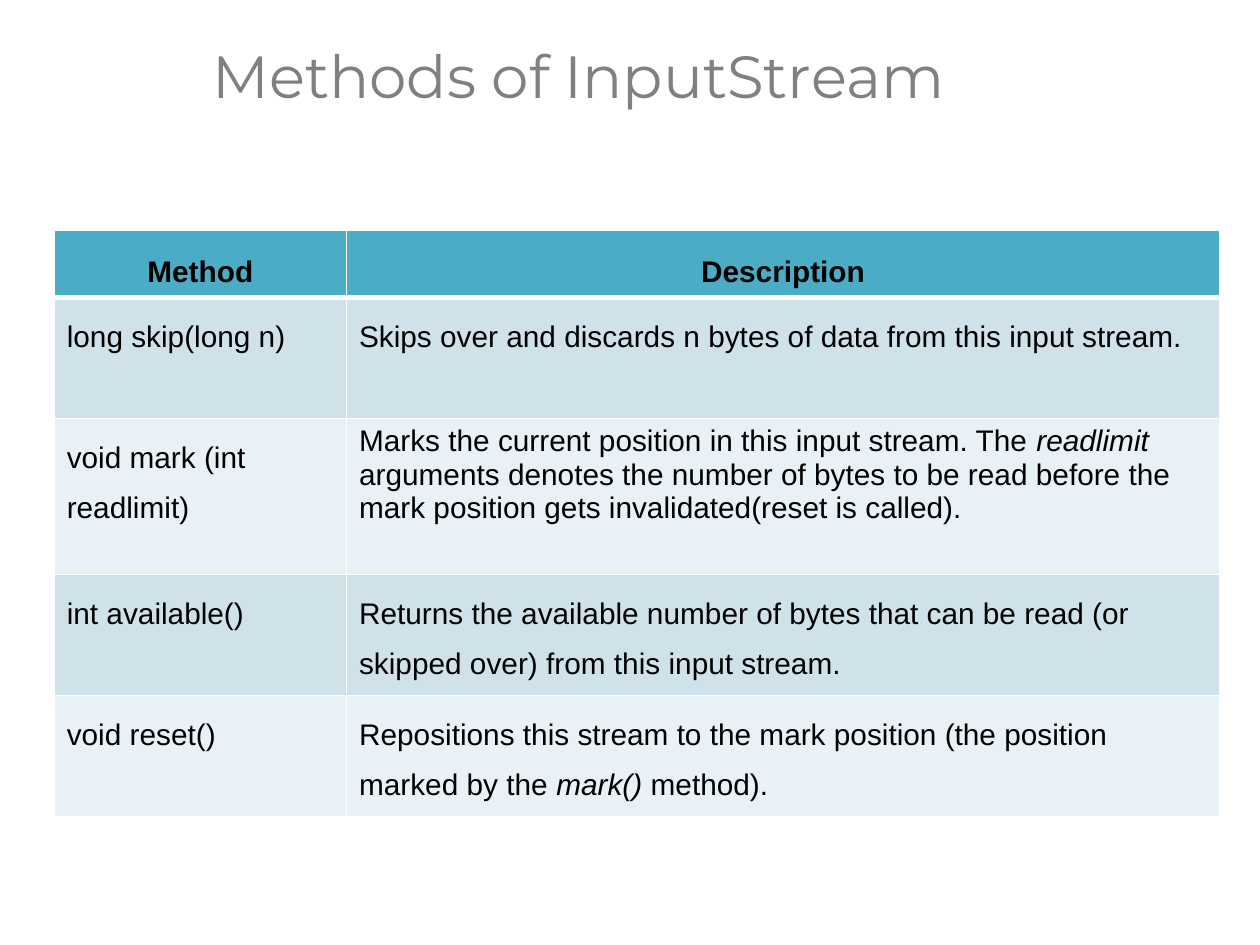
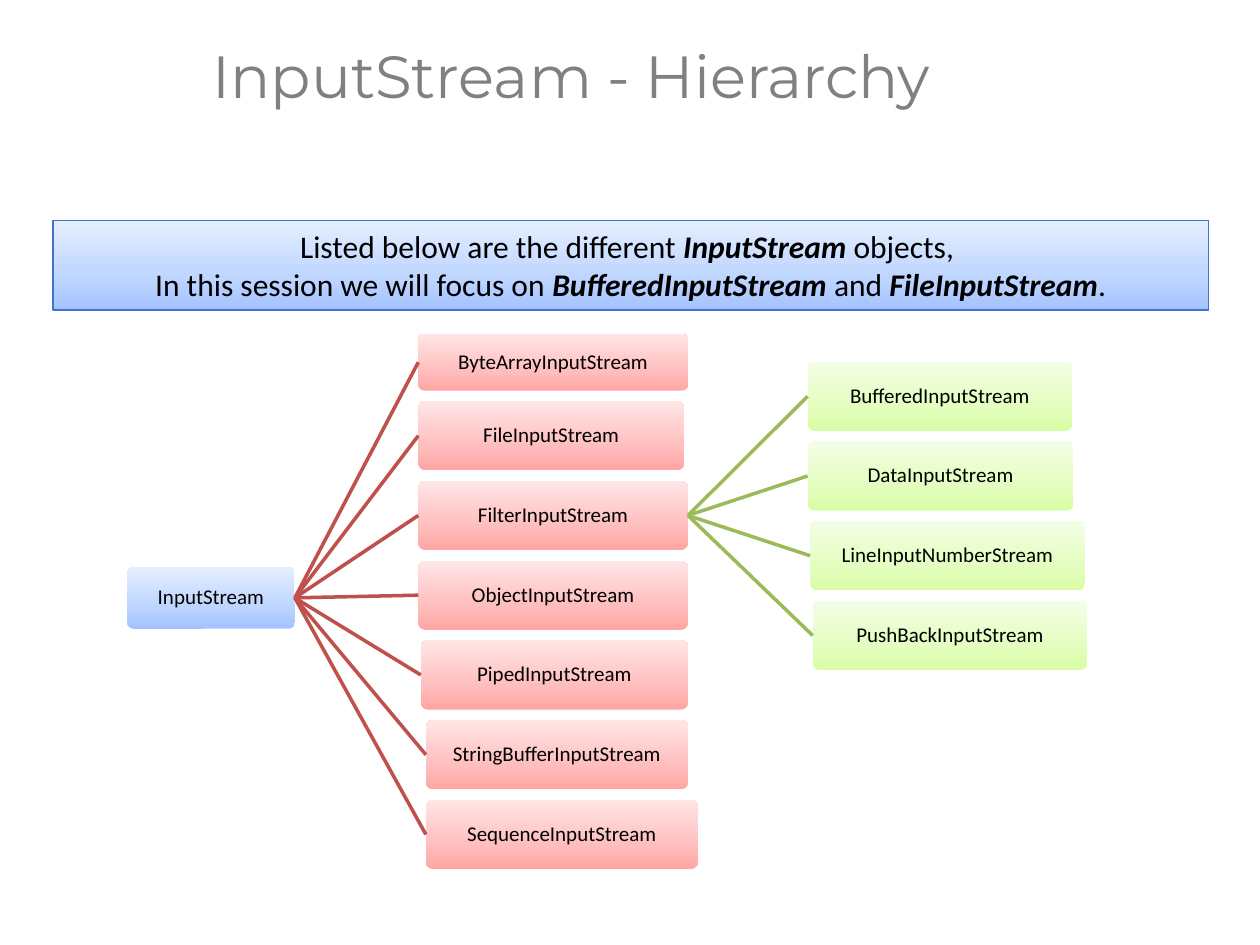
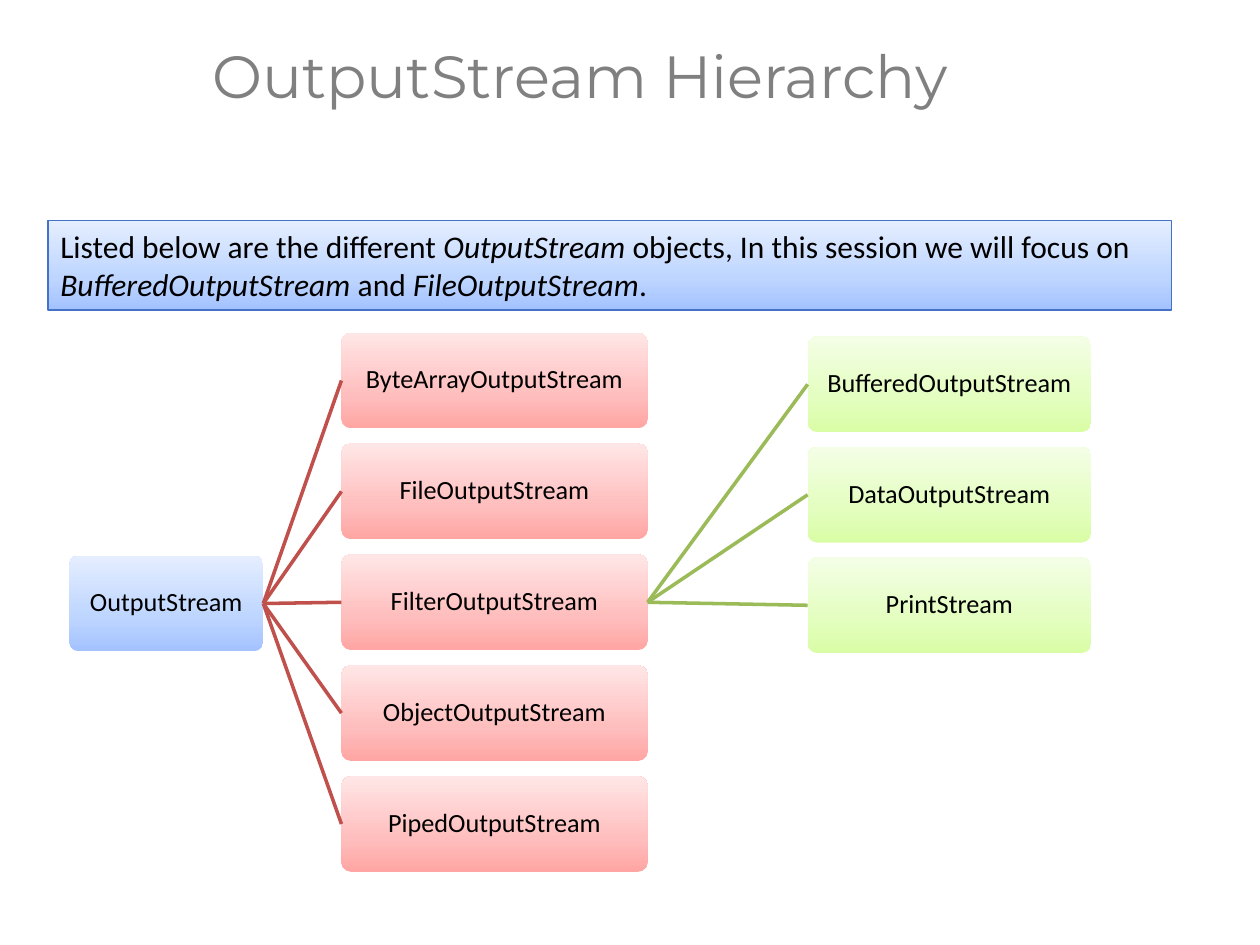
from copy import deepcopy
from dataclasses import dataclass
from typing import Any

from lxml import etree
from pptx import Presentation
from pptx.dml.color import RGBColor
from pptx.enum.shapes import MSO_CONNECTOR, MSO_SHAPE
from pptx.enum.text import MSO_ANCHOR, MSO_AUTO_SIZE, PP_ALIGN
from pptx.oxml.ns import qn
from pptx.util import Emu, Inches, Pt

RECT = MSO_SHAPE.RECTANGLE
ROUNDED = MSO_SHAPE.ROUNDED_RECTANGLE
STRAIGHT = MSO_CONNECTOR.STRAIGHT
LEFT, CENTER = PP_ALIGN.LEFT, PP_ALIGN.CENTER
TOP, MIDDLE = MSO_ANCHOR.TOP, MSO_ANCHOR.MIDDLE
NO_FIT, GROW = MSO_AUTO_SIZE.NONE, MSO_AUTO_SIZE.SHAPE_TO_FIT_TEXT
LEFT_SIDE, RIGHT_SIDE = 1, 3
SLIDE_W, SLIDE_H = Inches(10), Inches(7.5)
COLUMNS, ROWS = 100, 75
ITALIC = {"italic": True}
BOLD_ITALIC = {"bold": True, "italic": True}


@dataclass(frozen=True)
class Theme:
    title_font: str = "Montserrat"
    table_font: str = "Arial"
    body_font: str = "Calibri"
    title_size: float = 34
    table_size: float = 17
    banner_size: float = 18
    title: str = "808080"
    text: str = "000000"
    border: str = "FFFFFF"
    header: str = "4BACC6"
    bands: tuple[str, str] = ("CFE2EA", "E8F1F5")
    banner_line: str = "4472C4"
    red_line: str = "C0504C"
    green_line: str = "9BBB59"
    blue: tuple[str, ...] = ("A3C2FF", "BDD5FF", "E5EEFF")
    red: tuple[str, ...] = ("FFA5A3", "FFBEBE", "FFE6E6")
    green: tuple[str, ...] = ("D9FDA5", "E3FEBF", "F4FEE6")
    stops: tuple[float, ...] = (0, 0.35, 1)


THEME = Theme()


@dataclass(frozen=True)
class Box:
    left: float
    top: float
    width: float
    height: float

    def emu(self) -> tuple[Emu, Emu, Emu, Emu]:
        return (across(self.left), down(self.top),
                across(self.width), down(self.height))


@dataclass(frozen=True)
class Banner:
    box: Box
    lines: tuple[str, ...]
    align: Any
    emphasis: dict[str, bool]


@dataclass(frozen=True)
class Node:
    label: str
    left: float
    width: float
    trim: float = 0


@dataclass(frozen=True)
class Level:
    nodes: tuple[Node, ...]
    top: float
    pitch: float
    height: float


@dataclass(frozen=True)
class Hierarchy:
    title: str
    banner: Banner
    root: Level
    children: Level
    parent: int
    grandchildren: Level
    size: float


@dataclass(frozen=True)
class Method:
    name: str
    description: str
    spacing: float = 1.5


TITLE_BOX = Box(15.9, 0.1, 84.1, 12.4)
TABLE_BOX = Box(4.3, 18.3, 92.5, 46.5)
TABLE_COLUMNS = (23.2, 69.3)
TABLE_ROWS = (5.3, 9.6, 12.4, 9.6, 9.6)

METHODS = (
    Method("long skip(long n)",
           "Skips over and discards n bytes of data from this input stream."),
    Method("void mark (int readlimit)",
           "Marks the current position in this input stream. The _readlimit_ arguments "
           "denotes the number of bytes to be read before the mark position gets "
           "invalidated(reset is called).", 1),
    Method("int available()",
           "Returns the available number of bytes that can be read (or skipped over) "
           "from this input stream."),
    Method("void reset()",
           "Repositions this stream to the mark position (the position marked by the "
           "_mark()_ method)."),
)

INPUT = Hierarchy(
    title="InputStream - Hierarchy",
    banner=Banner(
        Box(4.2, 17.5, 91.7, 7.1),
        ("Listed below are the different _InputStream_ objects, ",
         "In this session we will focus on _BufferedInputStream_ and _FileInputStream_."),
        CENTER, BOLD_ITALIC),
    root=Level((Node("InputStream", 10.1, 13.3),), 45, 0, 4.9),
    children=Level((
        Node("ByteArrayInputStream", 33.2, 21.4, 1),
        Node("FileInputStream", 33.2, 21.1),
        Node("FilterInputStream", 33.2, 21.4),
        Node("ObjectInputStream", 33.2, 21.4),
        Node("PipedInputStream", 33.4, 21.2),
        Node("StringBufferInputStream", 33.8, 20.8),
        Node("SequenceInputStream", 33.8, 21.6)), 25.5, 6.33, 5.5),
    parent=2,
    grandchildren=Level((
        Node("BufferedInputStream", 64.1, 21),
        Node("DataInputStream", 64.1, 21.1),
        Node("LineInputNumberStream", 64.3, 21.8),
        Node("PushBackInputStream", 64.5, 21.8)), 28.7, 6.33, 5.5),
    size=12,
)

OUTPUT = Hierarchy(
    title="OutputStream Hierarchy",
    banner=Banner(
        Box(3.8, 17.5, 89.2, 7.1),
        ("Listed below are the different _OutputStream_ objects, In this session we will "
         "focus on _BufferedOutputStream_ and _FileOutputStream_.",),
        LEFT, ITALIC),
    root=Level((Node("OutputStream", 5.5, 15.4),), 44.1, 0, 7.6),
    children=Level(tuple(Node(f"{kind}OutputStream", 27.1, 24.3) for kind in
                         ("ByteArray", "File", "Filter", "Object", "Piped")),
                   26.4, 8.8, 7.6),
    parent=2,
    grandchildren=Level(tuple(Node(label, 64.1, 22.5) for label in
                              ("BufferedOutputStream", "DataOutputStream", "PrintStream")),
                        26.7, 8.77, 7.6),
    size=15,
)


def across(columns: float) -> Emu:
    return Emu(round(SLIDE_W * columns / COLUMNS))


def down(rows: float) -> Emu:
    return Emu(round(SLIDE_H * rows / ROWS))


def rgb(value: str) -> RGBColor:
    return RGBColor.from_string(value)


def apply(target: Any, formats: dict[str, Any]) -> None:
    for name, value in formats.items():
        setattr(target, name, value)


def write(p: Any, text: str, font: str, size: float, color: str,
          emphasis: dict[str, bool] = ITALIC, bold: bool = False,
          **paragraph: Any) -> None:
    apply(p, paragraph)
    for i, part in enumerate(text.split("_")):
        if part:
            r = p.add_run()
            r.text = part
            formats = {"name": font, "size": Pt(size), "bold": bold, "italic": False}
            apply(r.font, formats | (emphasis if i % 2 else {}))
            r.font.color.rgb = rgb(color)


def add_title(s: Any, text: str) -> None:
    tf = s.shapes.add_textbox(*TITLE_BOX.emu()).text_frame
    apply(tf, {"word_wrap": True, "auto_size": NO_FIT, "vertical_anchor": MIDDLE})
    write(tf.paragraphs[0], text, THEME.title_font, THEME.title_size, THEME.title,
          line_spacing=0.9)


def add_gradient_shape(s: Any, kind: Any, box: Box, colors: tuple[str, ...]) -> Any:
    sp = s.shapes.add_shape(kind, *box.emu())
    sp.shadow.inherit = False
    sp.fill.gradient()
    sp.fill.gradient_angle = 90
    stop_list = sp._element.spPr.find(qn("a:gradFill")).find(qn("a:gsLst"))
    stop_list.append(deepcopy(stop_list[-1]))
    for stop, position, color in zip(sp.fill.gradient_stops, THEME.stops, colors):
        stop.position = position
        stop.color.rgb = rgb(color)
    return sp


def add_banner(s: Any, banner: Banner) -> None:
    sp = add_gradient_shape(s, RECT, banner.box, THEME.blue)
    sp.line.color.rgb = rgb(THEME.banner_line)
    sp.line.width = Pt(0.75)
    tf = sp.text_frame
    apply(tf, {"word_wrap": True, "auto_size": GROW, "vertical_anchor": TOP})
    for i, line in enumerate(banner.lines):
        p = tf.add_paragraph() if i else tf.paragraphs[0]
        write(p, line, THEME.body_font, THEME.banner_size, THEME.text,
              banner.emphasis, alignment=banner.align)


def add_level(s: Any, level: Level, colors: tuple[str, ...], size: float) -> list[Any]:
    shapes = []
    for i, node in enumerate(level.nodes):
        box = Box(node.left, level.top + i * level.pitch + node.trim,
                  node.width, level.height - node.trim)
        sp = add_gradient_shape(s, ROUNDED, box, colors)
        sp.adjustments[0] = 0.1
        sp.line.fill.background()
        tf = sp.text_frame
        sides = ("margin_left", "margin_top", "margin_right", "margin_bottom")
        apply(tf, {"word_wrap": True, "vertical_anchor": MIDDLE}
              | dict.fromkeys(sides, Inches(0.02)))
        write(tf.paragraphs[0], node.label, THEME.body_font, size, THEME.text,
              alignment=CENTER, line_spacing=0.9)
        shapes.append(sp)
    return shapes


def connect(s: Any, parent: Any, children: list[Any], color: str) -> None:
    for child in children:
        line = s.shapes.add_connector(STRAIGHT, 0, 0, 0, 0)
        line.begin_connect(parent, RIGHT_SIDE)
        line.end_connect(child, LEFT_SIDE)
        line.line.color.rgb = rgb(color)
        line.line.width = Pt(2)
        etree.SubElement(line._element.spPr, qn("a:effectLst"))


def add_borders(cell: Any, top: float, bottom: float) -> None:
    properties = cell._tc.get_or_add_tcPr()
    for side, width in {"L": 1, "R": 1, "T": top, "B": bottom}.items():
        ln = etree.SubElement(properties, qn(f"a:ln{side}"), w=str(Pt(width)))
        fill = etree.SubElement(ln, qn("a:solidFill"))
        etree.SubElement(fill, qn("a:srgbClr"), val=THEME.border)


def add_method_table(s: Any) -> None:
    records = (Method("Method", "Description"), *METHODS)
    table = s.shapes.add_table(len(records), len(TABLE_COLUMNS), *TABLE_BOX.emu()).table
    for column, width in zip(table.columns, TABLE_COLUMNS):
        column.width = across(width)
    for i, (record, height) in enumerate(zip(records, TABLE_ROWS)):
        table.rows[i].height = down(height)
        header = i == 0
        spacings = (1.5, record.spacing)
        for j, text in enumerate((record.name, record.description)):
            cell = table.cell(i, j)
            add_borders(cell, 3 if i == 1 else 1, 3 if header else 1)
            cell.fill.solid()
            cell.fill.fore_color.rgb = rgb(THEME.header if header
                                           else THEME.bands[(i - 1) % 2])
            cell.vertical_anchor = MIDDLE if header else TOP
            write(cell.text_frame.paragraphs[0], text, THEME.table_font,
                  THEME.table_size, THEME.text, bold=header,
                  alignment=CENTER if header else LEFT, line_spacing=spacings[j])


def add_slide(prs: Any, title: str) -> Any:
    s = prs.slides.add_slide(prs.slide_layouts[6])
    add_title(s, title)
    return s


def add_hierarchy(prs: Any, tree: Hierarchy) -> None:
    s = add_slide(prs, tree.title)
    add_banner(s, tree.banner)
    root = add_level(s, tree.root, THEME.blue, tree.size)[0]
    children = add_level(s, tree.children, THEME.red, tree.size)
    grandchildren = add_level(s, tree.grandchildren, THEME.green, tree.size)
    connect(s, root, children, THEME.red_line)
    connect(s, children[tree.parent], grandchildren, THEME.green_line)


def main() -> None:
    prs = Presentation()
    prs.slide_width, prs.slide_height = SLIDE_W, SLIDE_H
    add_method_table(add_slide(prs, "Methods of InputStream"))
    for tree in (INPUT, OUTPUT):
        add_hierarchy(prs, tree)
    prs.save("out.pptx")


if __name__ == "__main__":
    main()
